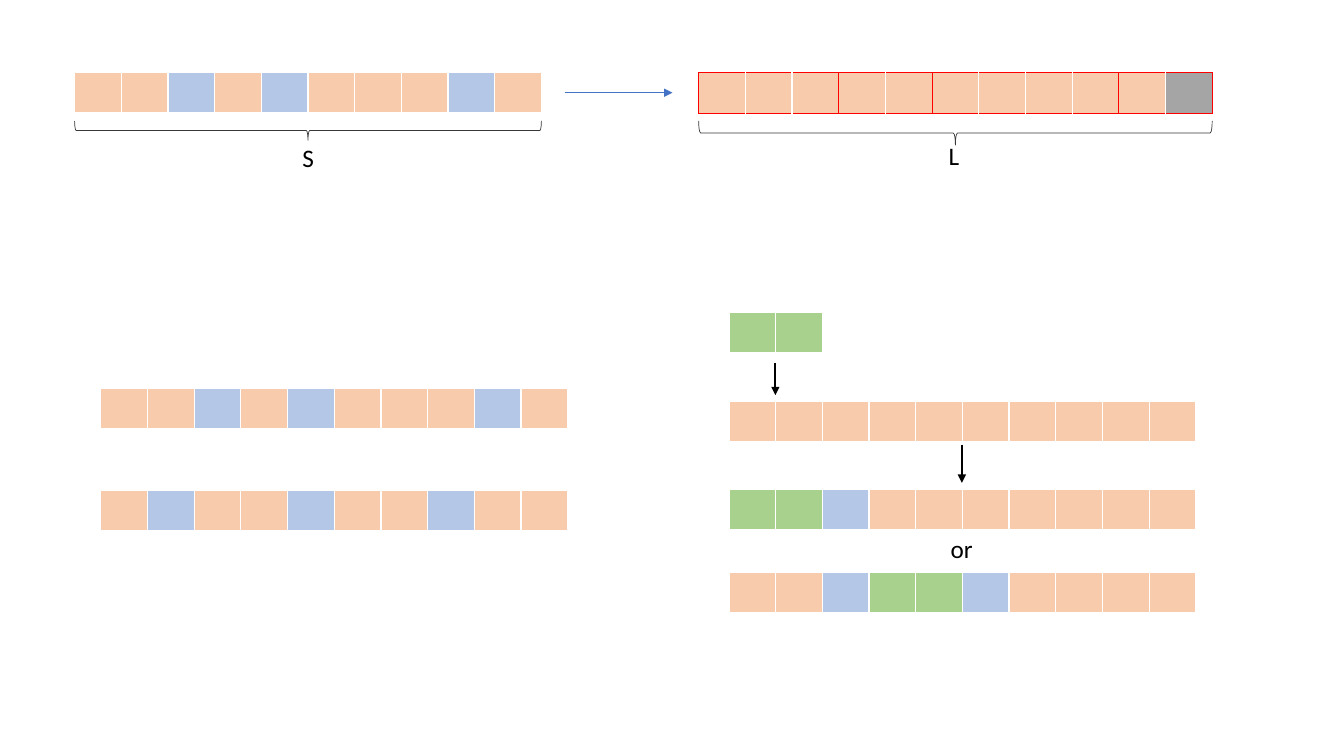
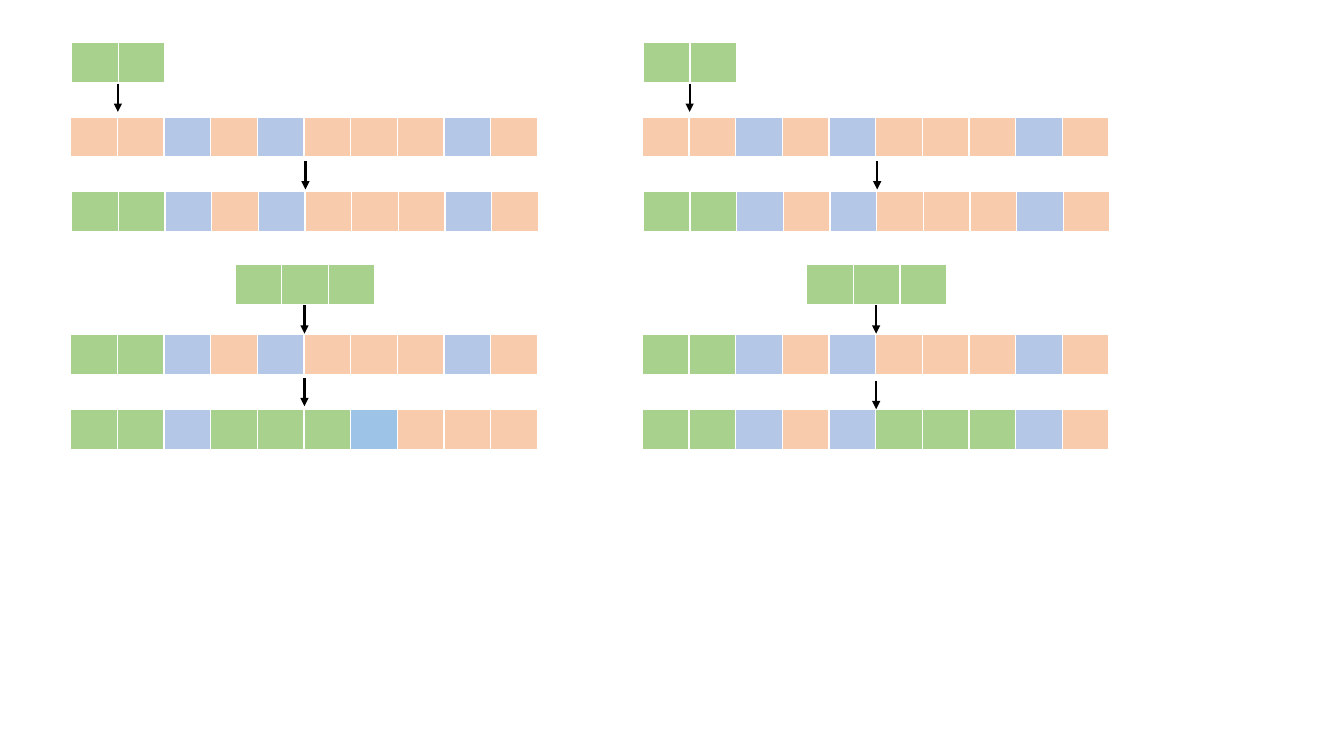
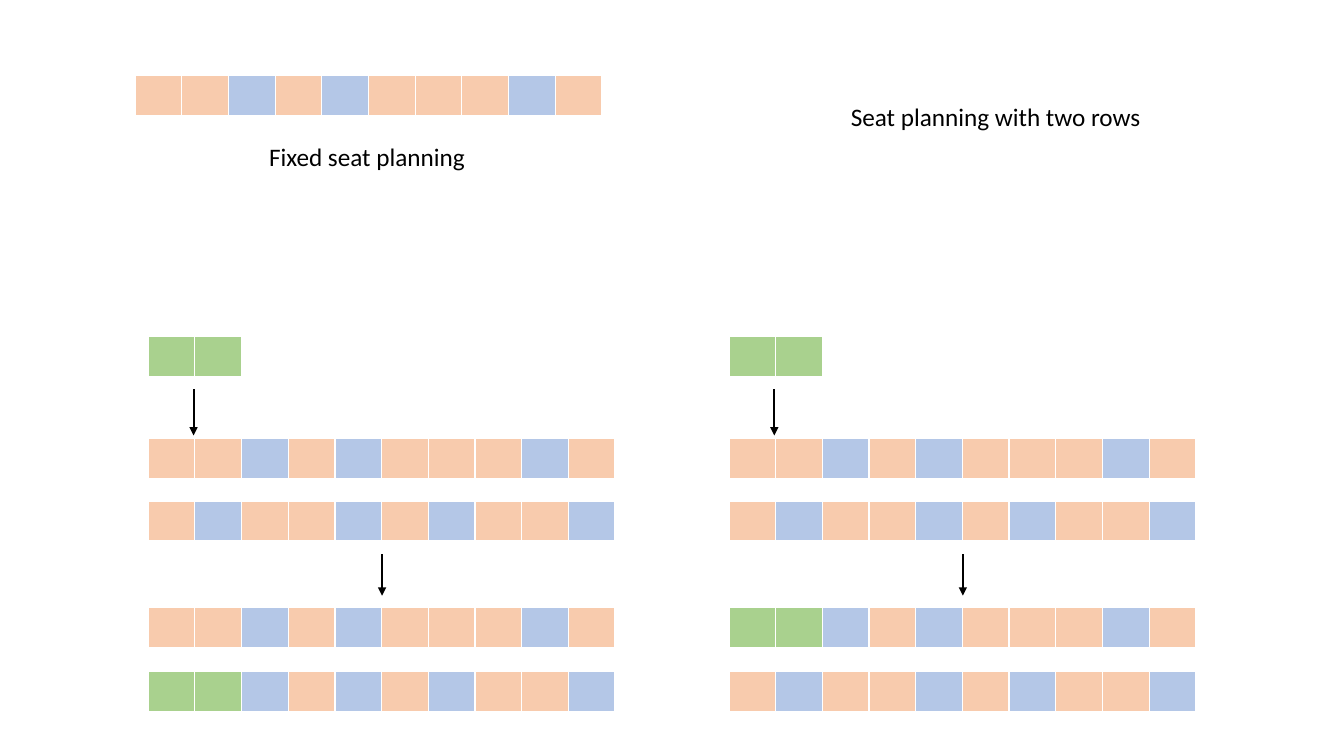
"""Build three slides that show seat plans as rows of coloured cells."""
from lxml.etree import SubElement
from pptx import Presentation
from pptx.dml.color import RGBColor
from pptx.enum.shapes import MSO_CONNECTOR, MSO_SHAPE
from pptx.oxml.ns import qn
from pptx.util import Inches, Pt

COLORS = {
    "seat": "F8CBAD",
    "gap": "B4C7E7",
    "group": "A9D18E",
    "new_gap": "9DC3E6",
    "dummy": "A5A5A5",
    "white": "FFFFFF",
    "red": "FF0000",
    "blue": "4472C4",
    "brace": "3B3838",
    "black": "000000",
}
SEAT_KINDS = {"s": "seat", "b": "gap", "G": "group", "n": "new_gap", "d": "dummy"}
LABEL_FONT = {"name": "Calibri", "size": Pt(18), "bold": False}
TABLE_FORMAT = {"first_row": False, "horz_banding": False}
ROW_WIDTH = 4.63
SEAT_WIDTH = ROW_WIDTH / 10
SEAT_HEIGHT = 0.41
FIXED_PLAN = "ssbsbsssbs"
SECOND_PLAN = "sbssbsbssb"
SEATED_PLAN = "GGbsbsssbs"


def color(name):
    return RGBColor.from_string(COLORS[name])


class SeatDeck:
    def __init__(self):
        self.deck = Presentation()
        self.deck.slide_width = Inches(13.33)
        self.deck.slide_height = Inches(7.5)
        self.slide = None

    def new_slide(self):
        self.slide = self.deck.slides.add_slide(self.deck.slide_layouts[6])

    def borders(self, properties, sides):
        for side in "LRTB":
            name, points = sides[side]
            line = SubElement(properties, qn(f"a:ln{side}"), w=str(Pt(points)))
            fill = SubElement(line, qn("a:solidFill"))
            SubElement(fill, qn("a:srgbClr"), val=COLORS[name])

    def seats(self, left, top, plan, group_sizes=()):
        frame = self.slide.shapes.add_table(
            1, len(plan), Inches(left), Inches(top),
            Inches(SEAT_WIDTH * len(plan)), Inches(SEAT_HEIGHT))
        table = frame.table
        for key, value in TABLE_FORMAT.items():
            setattr(table, key, value)
        edges = {sum(group_sizes[:count]) for count in range(len(group_sizes) + 1)}
        outer, bottom = ("red", 1) if group_sizes else ("white", 1), ("white", 3)
        elements = frame.element.iter(qn("a:tc"))
        for index, (kind, element) in enumerate(zip(plan, elements)):
            table.columns[index].width = Inches(SEAT_WIDTH)
            self.borders(element.get_or_add_tcPr(), {
                "L": outer if index in edges else ("white", 1),
                "R": outer if index + 1 in edges else ("white", 1),
                "T": outer,
                "B": outer if group_sizes else bottom,
            })
            cell = table.cell(0, index)
            cell.fill.solid()
            cell.fill.fore_color.rgb = color(SEAT_KINDS[kind])

    def arrow(self, start, end, name="black", points=1.5):
        arrow = self.slide.shapes.add_connector(
            MSO_CONNECTOR.STRAIGHT, *(Inches(value) for value in start + end))
        arrow.line.color.rgb = color(name)
        arrow.line.width = Pt(points)
        properties = arrow.element.spPr
        SubElement(properties.find(qn("a:ln")), qn("a:tailEnd"), type="triangle")
        SubElement(properties, qn("a:effectLst"))

    def down_arrow(self, left, top, length):
        self.arrow((left, top), (left, top + length))

    def brace(self, left, top, width, depth):
        brace = self.slide.shapes.add_shape(
            MSO_SHAPE.LEFT_BRACE,
            Inches(left + (width - depth) / 2), Inches(top + (depth - width) / 2),
            Inches(depth), Inches(width))
        brace.rotation = 270
        brace.shadow.inherit = False
        brace.fill.background()
        brace.line.color.rgb = color("brace")
        brace.line.width = Pt(0.5)

    def label(self, left, top, width, text):
        box = self.slide.shapes.add_textbox(
            Inches(left), Inches(top), Inches(width), Inches(0.4))
        box.text_frame.word_wrap = False
        span = box.text_frame.paragraphs[0].add_run()
        span.text = text
        for key, value in LABEL_FONT.items():
            setattr(span.font, key, value)
        span.font.color.rgb = color("black")


def build_row_slide(page):
    page.new_slide()
    page.seats(0.74, 0.72, FIXED_PLAN)
    page.seats(6.93, 0.72, "s" * 10 + "d", (3, 2, 4, 2))
    page.arrow((5.6, 0.92), (6.67, 0.92), "blue", 0.5)
    page.brace(0.74, 1.2, ROW_WIDTH, 0.19)
    page.label(2.9, 1.36, 0.32, "S")
    page.brace(6.93, 1.2, SEAT_WIDTH * 11, 0.24)
    page.label(9.31, 1.34, 0.31, "L")
    page.seats(1, 3.85, FIXED_PLAN)
    page.seats(1, 4.87, "sbssbssbss")
    for top, plan in ((3.1, "GG"), (3.98, "s" * 10),
                      (4.86, "GGbsssssss"), (5.68, "ssbGGbssss")):
        page.seats(7.23, top, plan)
    page.down_arrow(7.69, 3.6, 0.32)
    page.down_arrow(9.54, 4.41, 0.38)
    page.label(9.33, 5.24, 0.42, "or")


def build_arrival_slide(page):
    page.new_slide()
    for left, last_plan, last_arrow in ((0.7, "GGbGGGnsss", 3.75),
                                        (6.37, "GGbsbGGGbs", 3.78)):
        for shift, top, plan in ((0.01, 0.42, "GG"), (0, 1.16, FIXED_PLAN),
                                 (0.01, 1.9, SEATED_PLAN), (1.63, 2.62, "GGG"),
                                 (0, 3.32, SEATED_PLAN), (0, 4.06, last_plan)):
            page.seats(left + shift, top, plan)
        for shift, top in ((0.47, 0.83), (2.33, 1.6), (2.32, 3.03), (2.32, last_arrow)):
            page.down_arrow(left + shift, top, 0.28)


def build_two_row_slide(page):
    page.new_slide()
    page.seats(1.34, 0.75, FIXED_PLAN)
    page.label(2.57, 1.35, 2.17, "Fixed seat planning")
    page.label(8.34, 0.96, 3.11, "Seat planning with two rows")
    for left, first_result, second_result in (
            (1.47, FIXED_PLAN, "GGbsbsbssb"),
            (7.23, SEATED_PLAN, SECOND_PLAN)):
        for top, plan in ((3.34, "GG"), (4.35, FIXED_PLAN), (4.97, SECOND_PLAN),
                          (6.03, first_result), (6.66, second_result)):
            page.seats(left, top, plan)
        page.down_arrow(left + 0.45, 3.86, 0.46)
        page.down_arrow(left + 2.32, 5.5, 0.41)


def main():
    page = SeatDeck()
    build_row_slide(page)
    build_arrival_slide(page)
    build_two_row_slide(page)
    page.deck.save("out.pptx")


if __name__ == "__main__":
    main()
